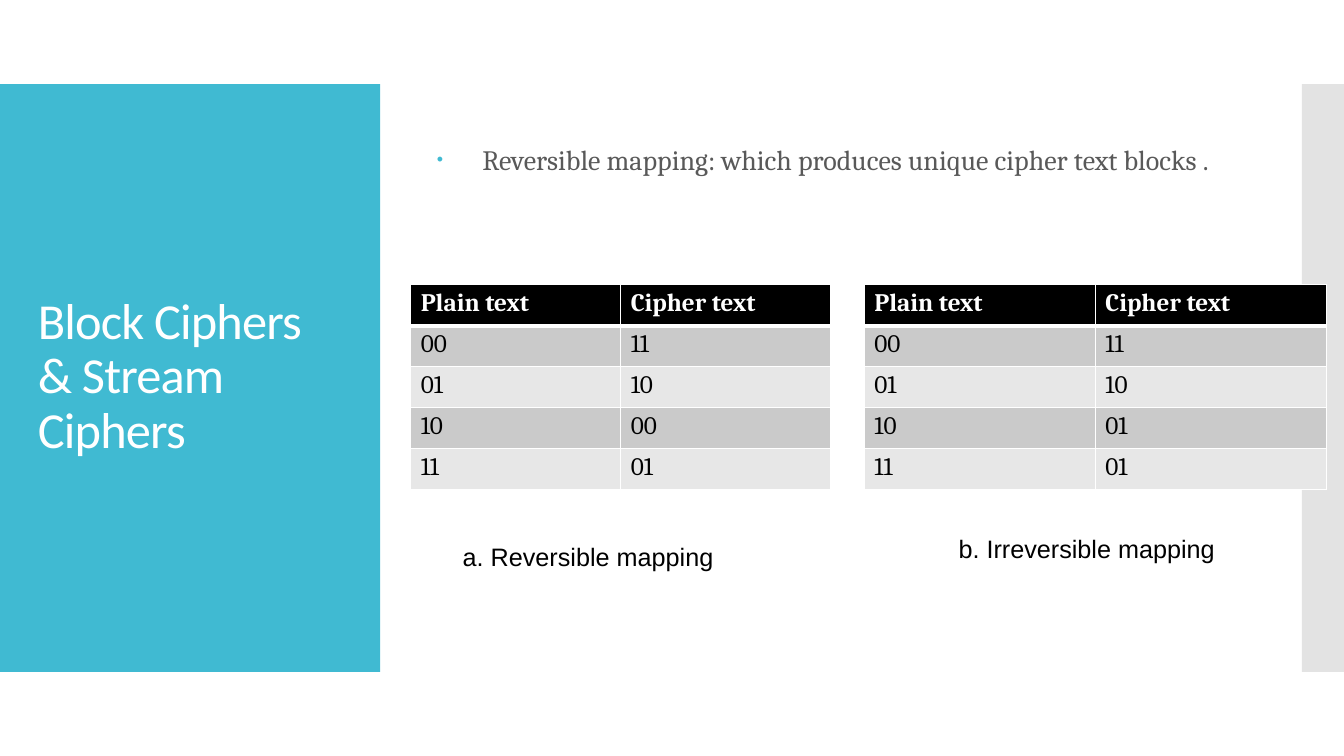
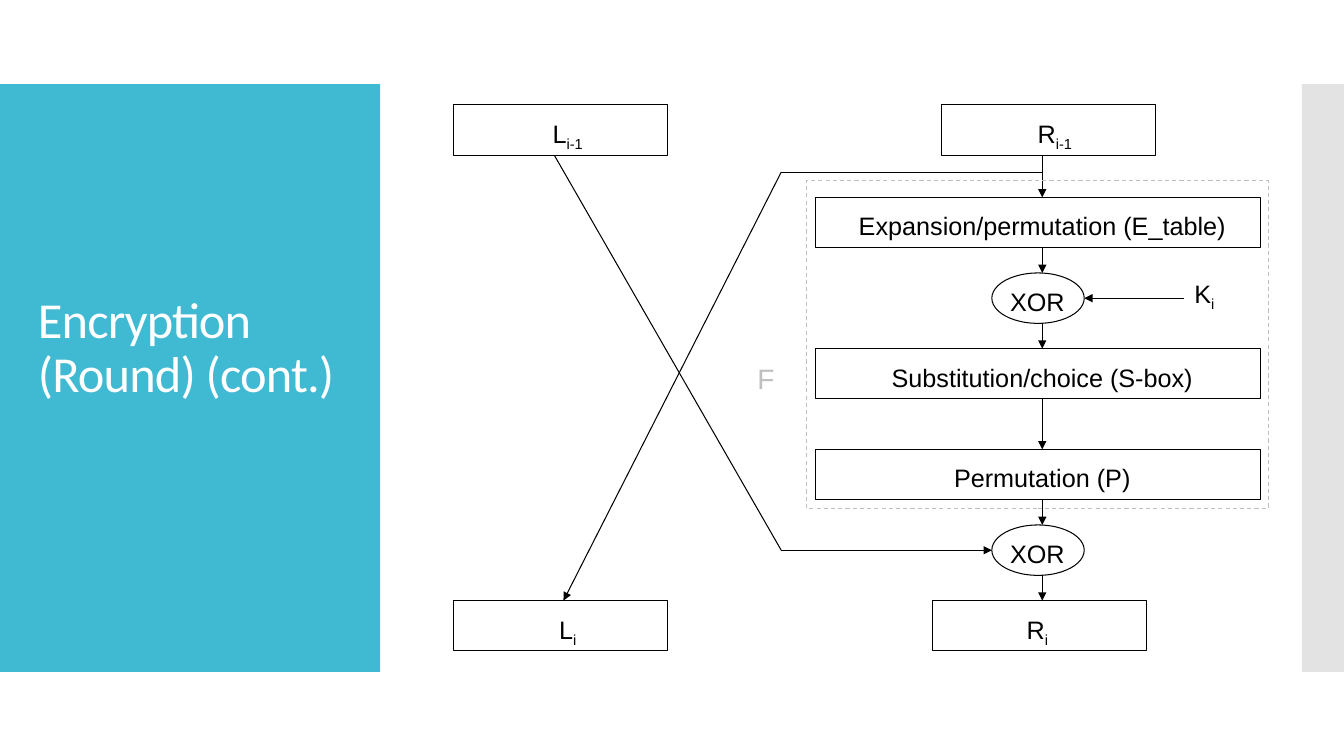
from dataclasses import dataclass
from pptx import Presentation
from pptx.dml.color import RGBColor
from pptx.enum.dml import MSO_LINE
from pptx.enum.shapes import MSO_CONNECTOR, MSO_SHAPE
from pptx.enum.text import MSO_ANCHOR as Anchor, PP_ALIGN as Align
from pptx.oxml.ns import qn
from pptx.util import Pt
from lxml.etree import SubElement


@dataclass(frozen=True)
class Theme:
    accent: str = "40BAD2"
    side: str = "E3E3E3"
    white: str = "FFFFFF"
    black: str = "000000"
    body: str = "595959"
    muted: str = "BFBFBF"
    odd_row: str = "CACACA"
    even_row: str = "E7E7E7"
    sans: str = "Arial"
    serif: str = "Cambria"
    heading: str = "Calibri"
    title_size: int = 36
    body_size: int = 20
    label_size: int = 18
    line: float = 0.75


THEME = Theme()
BANDS = [(0, 271.5, THEME.accent), (930, 30, THEME.side)]
BAND_TOP, BAND_HEIGHT = 60, 420

MAPPING_TITLE = "Block Ciphers & Stream Ciphers"
MAPPING_POINT = "Reversible mapping: which produces unique cipher text blocks ."
HEADER = ("Plain text", "Cipher text")
PLAIN = ("00", "01", "10", "11")
MAPPINGS = [
    {"cipher": ("11", "10", "00", "01"), "left": 293.4, "width": 300,
     "caption": "a. Reversible mapping", "caption_at": (330.5, 386, 181, 24)},
    {"cipher": ("11", "10", "01", "01"), "left": 617.4, "width": 330,
     "caption": "b. Irreversible mapping", "caption_at": (684.7, 380, 185, 24)},
]
TABLE_TOP, ROW_HEIGHT = 203.5, 29.25

ROUND_TITLE = "Encryption (Round) (cont.)"
NODE_HEIGHT = 36
BOX, OVAL = MSO_SHAPE.RECTANGLE, MSO_SHAPE.OVAL
TOP, EXPAND, XOR_KEY, SUBSTITUTE, PERMUTE, XOR_LEFT, BOTTOM = 75, 141, 195, 249, 321, 375, 429
AXIS, CROSS, TAP = 744.5, 558, 123
NODES = [
    (BOX, 324, TOP, 153, ("L", "i-1"), 5),
    (BOX, 672.5, TOP, 153, ("R", "i-1"), 4.5),
    (BOX, 582.5, EXPAND, 318, ("Expansion/permutation (E_table)",), 3),
    (OVAL, 708.5, XOR_KEY, 66, ("XOR",), -0.5),
    (BOX, 582.5, SUBSTITUTE, 318, ("Substitution/choice (S-box)",), 3),
    (BOX, 582.5, PERMUTE, 318, ("Permutation (P)",), 3),
    (OVAL, 708.5, XOR_LEFT, 66, ("XOR",), -0.5),
    (BOX, 324, BOTTOM, 153, ("L", "i"), 5),
    (BOX, 666, BOTTOM, 153, ("R", "i"), -1.5),
]
CHAIN = [TOP, EXPAND, XOR_KEY, SUBSTITUTE, PERMUTE, XOR_LEFT, BOTTOM]
KEY_Y, MERGE_Y = XOR_KEY + NODE_HEIGHT / 2, XOR_LEFT + NODE_HEIGHT / 2
ROUTES = [
    [(846, KEY_Y), (774.5, KEY_Y)],
    [(AXIS, TAP), (CROSS, TAP), (402.5, BOTTOM)],
    [(396, TOP + NODE_HEIGHT), (CROSS, MERGE_Y), (708.5, MERGE_Y)],
]


def rgb(colour):
    return RGBColor.from_string(colour)


def style(para, size, face, colour, bold=False):
    font = para.font
    font.size, font.name, font.bold = Pt(size), face, bold
    font.color.rgb = rgb(colour)


def set_insets(frame, left, top, right, bottom):
    frame.margin_left, frame.margin_top = Pt(left), Pt(top)
    frame.margin_right, frame.margin_bottom = Pt(right), Pt(bottom)


def add_text(page, at, text, size, face, colour, insets=(7.2, 3.6, 7.2, 3.6), anchor=Anchor.TOP):
    frame = page.shapes.add_textbox(*map(Pt, at)).text_frame
    frame.word_wrap, frame.vertical_anchor = True, anchor
    set_insets(frame, *insets)
    para = frame.paragraphs[0]
    para.add_run().text = text
    style(para, size, face, colour)
    return para


def add_figure(page, kind, at, fill=None, line=None):
    figure = page.shapes.add_shape(kind, *map(Pt, at))
    figure.shadow.inherit = False
    if fill:
        figure.fill.solid()
        figure.fill.fore_color.rgb = rgb(fill)
    else:
        figure.fill.background()
    if line:
        figure.line.color.rgb = rgb(line)
        figure.line.width = Pt(THEME.line)
    else:
        figure.line.fill.background()
    return figure


def add_page(deck, title, lift=0):
    page = deck.slides.add_slide(deck.slide_layouts[6])
    for left, width, colour in BANDS:
        add_figure(page, MSO_SHAPE.RECTANGLE, (left, BAND_TOP, width, BAND_HEIGHT), colour)
    para = add_text(page, (20, 88.5 - lift, 232, 362), title, THEME.title_size,
                    THEME.heading, THEME.white, anchor=Anchor.MIDDLE)
    para.line_spacing = 0.9
    para.runs[0]._r.get_or_add_rPr().set("spc", "-60")
    return page


def add_subscript(para, text):
    span = para.add_run()
    span.text = text
    span._r.get_or_add_rPr().set("baseline", "-25000")


def add_bullet(para, colour):
    props = para._p.get_or_add_pPr()
    props.set("marL", str(Pt(33)))
    props.set("indent", str(Pt(-32.5)))
    props_colour = SubElement(props, qn("a:buClr"))
    SubElement(props_colour, qn("a:srgbClr")).set("val", colour)
    SubElement(props, qn("a:buSzPct")).set("val", "64000")
    SubElement(props, qn("a:buFont")).set("typeface", THEME.sans)
    SubElement(props, qn("a:buChar")).set("char", "•")


def add_borders(cell, top, bottom):
    props = cell._tc.get_or_add_tcPr()
    for side, width in (("L", 1), ("R", 1), ("T", top), ("B", bottom)):
        edge = SubElement(props, qn(f"a:ln{side}"))
        edge.set("w", str(Pt(width)))
        fill = SubElement(edge, qn("a:solidFill"))
        SubElement(fill, qn("a:srgbClr")).set("val", THEME.white)


def add_mapping(page, mapping):
    rows = [HEADER, *zip(PLAIN, mapping["cipher"])]
    at = (mapping["left"], TABLE_TOP, mapping["width"], ROW_HEIGHT * len(rows))
    table = page.shapes.add_table(len(rows), len(HEADER), *map(Pt, at)).table
    for column in table.columns:
        column.width = Pt(mapping["width"] / len(HEADER))
    for r, values in enumerate(rows):
        table.rows[r].height = Pt(ROW_HEIGHT)
        fill = (THEME.odd_row if r % 2 else THEME.even_row) if r else THEME.black
        for c, value in enumerate(values):
            cell = table.cell(r, c)
            add_borders(cell, 3 if r == 1 else 1, 1 if r else 3)
            cell.fill.solid()
            cell.fill.fore_color.rgb = rgb(fill)
            set_insets(cell, 7.2, 3, 0, 0)
            cell.text = value
            style(cell.text_frame.paragraphs[0], THEME.label_size, THEME.serif,
                  THEME.black if r else THEME.white, bold=r == 0)
    add_text(page, mapping["caption_at"], mapping["caption"], THEME.label_size,
             THEME.sans, THEME.black, insets=(0, 1, 0, 0))


def add_node(page, kind, left, top, width, label, shift):
    node = add_figure(page, kind, (left, top, width, NODE_HEIGHT), line=THEME.black)
    frame = node.text_frame
    frame.word_wrap, frame.vertical_anchor = kind == BOX, Anchor.TOP
    set_insets(frame, max(2 * shift, 0), 9.5 if kind == BOX else 4.2, max(-2 * shift, 0), 0)
    para = frame.paragraphs[0]
    para.alignment = Align.CENTER
    para.add_run().text = label[0]
    for index in label[1:]:
        add_subscript(para, index)
    style(para, THEME.label_size, THEME.sans, THEME.black)


def add_line(page, start, end, arrow):
    line = page.shapes.add_connector(MSO_CONNECTOR.STRAIGHT, *map(Pt, (*start, *end)))
    line.line.color.rgb = rgb(THEME.black)
    line.line.width = Pt(THEME.line)
    if arrow:
        SubElement(line.line._get_or_add_ln(), qn("a:tailEnd")).set("type", "triangle")
    SubElement(line._element.spPr, qn("a:effectLst"))


def add_route(page, points):
    for start, end in zip(points, points[1:]):
        add_line(page, start, end, arrow=end == points[-1])


def build_mapping_page(deck):
    page = add_page(deck, MAPPING_TITLE)
    para = add_text(page, (304.5, 67.5, 576, 92), "", THEME.body_size, THEME.serif,
                    THEME.body, anchor=Anchor.MIDDLE)
    para.clear()
    para._p.remove(para._p.get_or_add_pPr())
    add_bullet(para, THEME.accent)
    para.add_run().text = MAPPING_POINT
    style(para, THEME.body_size, THEME.serif, THEME.body)
    for mapping in MAPPINGS:
        add_mapping(page, mapping)


def build_round_page(deck):
    page = add_page(deck, ROUND_TITLE, lift=20)
    for node in NODES:
        add_node(page, *node)
    for upper, lower in zip(CHAIN, CHAIN[1:]):
        add_route(page, [(AXIS, upper + NODE_HEIGHT), (AXIS, lower)])
    for points in ROUTES:
        add_route(page, points)
    key = add_text(page, (846, 195, 30, 29), "K", THEME.label_size, THEME.sans, THEME.black)
    add_subscript(key, "i")
    frame = add_figure(page, BOX, (576, 129, 330, 234), line=THEME.muted)
    frame.line.dash_style = MSO_LINE.DASH
    add_text(page, (534, 255, 36, 30), "F", THEME.body_size, THEME.sans, THEME.muted)


def main():
    deck = Presentation()
    deck.slide_width, deck.slide_height = Pt(960), Pt(540)
    build_mapping_page(deck)
    build_round_page(deck)
    deck.save("out.pptx")


if __name__ == "__main__":
    main()
